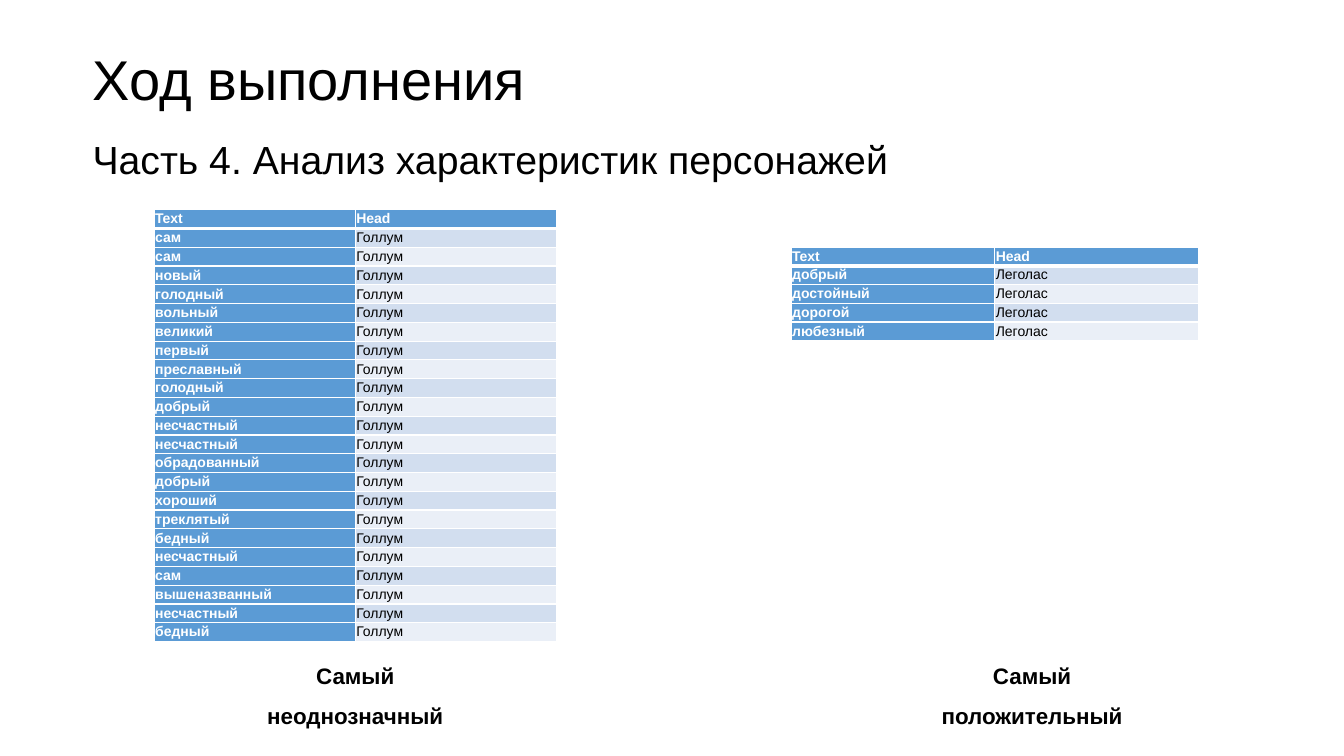
"""Build the slide on character traits: a title, two word tables and their captions."""
import pptx
import pptx.dml.color
import pptx.enum.text
import pptx.oxml.ns
import pptx.util
from lxml import etree

Pt = pptx.util.Pt
RGBColor = pptx.dml.color.RGBColor
ALIGN = pptx.enum.text.PP_ALIGN
MIDDLE = pptx.enum.text.MSO_ANCHOR.MIDDLE

BLACK = RGBColor(0x00, 0x00, 0x00)
WHITE = RGBColor(0xFF, 0xFF, 0xFF)
BLUE = RGBColor(0x5B, 0x9B, 0xD5)
BANDS = (RGBColor(0xD2, 0xDE, 0xEF), RGBColor(0xEA, 0xEF, 0xF7))

HEADING = "Ход выполнения"
SUBHEADING = "Часть 4. Анализ характеристик персонажей"
COLUMN_NAMES = ("Text", "Head")
CHARACTERS = [
    {
        "head": "Голлум",
        "traits": [
            "сам", "сам", "новый", "голодный", "вольный", "великий", "первый",
            "преславный", "голодный", "добрый", "несчастный", "несчастный",
            "обрадованный", "добрый", "хороший", "треклятый", "бедный",
            "несчастный", "сам", "вышеназванный", "несчастный", "бедный",
        ],
        "table": (110.2, 149.8, 287.3),
        "caption": "Самый неоднозначный",
        "caption_box": (170.6, 472.3, 166.3, 39.6),
    },
    {
        "head": "Леголас",
        "traits": ["добрый", "достойный", "дорогой", "любезный"],
        "table": (565.2, 176.4, 290.9),
        "caption": "Самый положительный",
        "caption_box": (663.8, 472.3, 146.9, 39.6),
    },
]

TITLE_BOX = (66.2, 0, 828, 138.2)
ROW_HEIGHT = 12.7
RULE, HEADER_RULE = 1, 3
FRAME_FORMAT = {"word_wrap": True, "vertical_anchor": MIDDLE, "margin_left": 0,
                "margin_right": 0, "margin_top": 0, "margin_bottom": 0}
CELL_FORMAT = {"vertical_anchor": MIDDLE, "margin_left": Pt(0.7), "margin_right": Pt(0.7),
               "margin_top": Pt(0.7), "margin_bottom": Pt(0.7)}


def apply(target, values):
    for attribute, value in values.items():
        setattr(target, attribute, value)


def write(paragraph, wording, size, color=BLACK, bold=False):
    run = paragraph.add_run()
    run.text = wording
    apply(run.font, {"name": "Arial", "size": Pt(size), "bold": bold})
    run.font.color.rgb = color


def add_paragraph_box(slide, box, align):
    frame = slide.shapes.add_textbox(*map(Pt, box)).text_frame
    apply(frame, FRAME_FORMAT)
    paragraph = frame.paragraphs[0]
    apply(paragraph, {"alignment": align, "line_spacing": 1.5})
    return paragraph


def add_borders(cell, top, bottom):
    properties = cell._tc.get_or_add_tcPr()
    qn = pptx.oxml.ns.qn
    for side, width in (("L", RULE), ("R", RULE), ("T", top), ("B", bottom)):
        line = etree.SubElement(properties, qn(f"a:ln{side}"), w=str(Pt(width)))
        paint = etree.SubElement(line, qn("a:solidFill"))
        etree.SubElement(paint, qn("a:srgbClr"), val=str(WHITE))


def add_trait_table(slide, head, traits, place):
    left, top, width = place
    rows = [COLUMN_NAMES] + [(trait, head) for trait in traits]
    table = slide.shapes.add_table(
        len(rows), len(COLUMN_NAMES), Pt(left), Pt(top), Pt(width), Pt(ROW_HEIGHT * len(rows))
    ).table
    for column in table.columns:
        column.width = Pt(width / len(COLUMN_NAMES))
    for r, entries in enumerate(rows):
        table.rows[r].height = Pt(ROW_HEIGHT)
        for c, entry in enumerate(entries):
            cell = table.cell(r, c)
            strong = r == 0 or c == 0
            apply(cell, CELL_FORMAT)
            add_borders(cell, HEADER_RULE if r == 1 else RULE, HEADER_RULE if r == 0 else RULE)
            cell.fill.solid()
            cell.fill.fore_color.rgb = BLUE if strong else BANDS[(r - 1) % 2]
            write(cell.text_frame.paragraphs[0], entry, 10, WHITE if strong else BLACK, strong)


def main():
    deck = pptx.Presentation()
    apply(deck, {"slide_width": Pt(960), "slide_height": Pt(540)})
    slide = deck.slides.add_slide(deck.slide_layouts[6])

    title = add_paragraph_box(slide, TITLE_BOX, ALIGN.LEFT)
    write(title, HEADING, 40)
    title.add_line_break()
    write(title, SUBHEADING, 28)

    for character in CHARACTERS:
        caption = add_paragraph_box(slide, character["caption_box"], ALIGN.CENTER)
        write(caption, character["caption"], 16, bold=True)
        add_trait_table(slide, character["head"], character["traits"], character["table"])

    deck.save("out.pptx")


if __name__ == "__main__":
    main()
